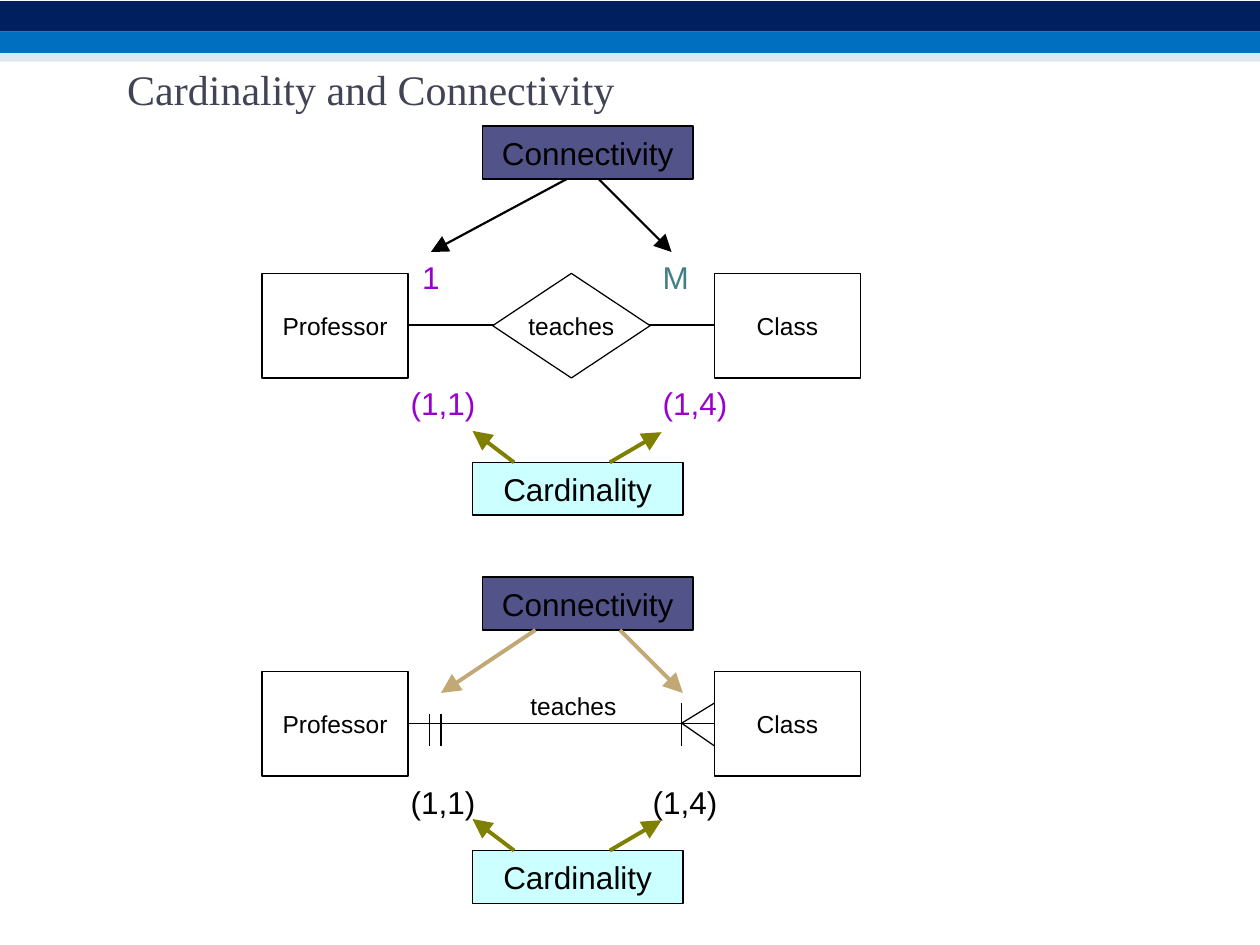
from pptx import Presentation
from pptx.dml.color import RGBColor
from pptx.enum.shapes import MSO_CONNECTOR, MSO_SHAPE
from pptx.enum.text import MSO_ANCHOR, PP_ALIGN
from pptx.oxml.ns import qn
from pptx.util import Inches, Pt
from lxml.etree import SubElement

BLACK, PURPLE, TEAL = "000000", "9900CC", "438085"
INDIGO, AQUA, OLIVE, TAN = "525389", "CCFFFF", "808000", "C2A874"
FRAME = {"margin_left": 0, "margin_right": 0, "margin_top": 0, "margin_bottom": 0,
         "vertical_anchor": MSO_ANCHOR.MIDDLE, "word_wrap": False}


def color(hex_value):
    """Turn a hex string into a colour."""
    return RGBColor.from_string(hex_value)


def write(shape, text, size, ink=BLACK, font="Arial", align=PP_ALIGN.LEFT):
    """Set one line of text in a shape."""
    for name, value in FRAME.items():
        setattr(shape.text_frame, name, value)
    paragraph = shape.text_frame.paragraphs[0]
    paragraph.alignment = align
    run = paragraph.add_run()
    run.text = text
    for name, value in {"size": Pt(size), "name": font}.items():
        setattr(run.font, name, value)
    run.font.color.rgb = color(ink)


def label(slide, box, text, size=18, ink=BLACK, font="Arial"):
    """Place free-standing text in a box."""
    write(slide.shapes.add_textbox(*map(Inches, box)), text, size, ink, font)


def block(slide, box, fill=None, outline=0, text=None, size=18, preset=MSO_SHAPE.RECTANGLE):
    """Place a preset shape with an optional fill, outline and centred text."""
    shape = slide.shapes.add_shape(preset, *map(Inches, box))
    shape.shadow.inherit = False
    if fill:
        shape.fill.solid()
        shape.fill.fore_color.rgb = color(fill)
    else:
        shape.fill.background()
    if outline:
        shape.line.color.rgb = color(BLACK)
        shape.line.width = Pt(outline)
    else:
        shape.line.fill.background()
    if text:
        write(shape, text, size, align=PP_ALIGN.CENTER)
    return shape


def line(slide, start, end, ink=BLACK, width=0.72, arrow=False):
    """Draw a straight line, with an arrowhead at its end if asked."""
    stroke = slide.shapes.add_connector(MSO_CONNECTOR.STRAIGHT, *map(Inches, (*start, *end)))
    stroke.line.color.rgb = color(ink)
    stroke.line.width = Pt(width)
    if arrow:
        SubElement(stroke.line._get_or_add_ln(), qn("a:tailEnd"), type="triangle", w="lg", len="lg")
    SubElement(stroke._element.spPr, qn("a:effectLst"))


def header(slide, left, top, width):
    """Place the three colour bands and the title."""
    block(slide, (left, top + 0.25, width, 0.17), "006FC0")
    block(slide, (left, top + 0.01, width, 0.24), "001F5F")
    pale_band = block(slide, (left, top + 0.42, width, 0.07), "BDD2E0")
    SubElement(pale_band._element.spPr.find(".//" + qn("a:srgbClr")), qn("a:alpha"), val="50000")
    label(slide, (left + 1.01, top + 0.49, 3.89, 0.43), "Cardinality and Connectivity", 24,
          "424455", "Times New Roman")


def callout(slide, left, top, text, fill, arrows, ink, width):
    """Place a named box and the arrows that leave it."""
    block(slide, (left, top, 1.67, 0.42), fill, 0.96, text)
    for (start_x, start_y), (end_x, end_y) in arrows:
        line(slide, (left + start_x, top + start_y), (left + end_x, top + end_y), ink, width, True)


def cardinality(slide, left, top):
    """Place the Cardinality callout."""
    arrows = [((0.33, 0), (0, -0.25)), ((1.09, 0), (1.5, -0.24))]
    callout(slide, left, top, "Cardinality", AQUA, arrows, OLIVE, 2.25)


def entities(slide, left, top):
    """Place the two entities and the line that relates them."""
    for offset, entity in ((0, "Professor"), (3.59, "Class")):
        block(slide, (left + offset, top, 1.16, 0.83), None, 0.96, entity, 14)
    line(slide, (left + 1.16, top + 0.41), (left + 3.59, top + 0.41))


def chen_diagram(slide, left, top):
    """Place the diagram with a relationship diamond."""
    row = top + 1.17
    entities(slide, left, row)
    block(slide, (left + 1.83, row, 1.25, 0.83), "FFFFFF", 0.72, "teaches", 14, MSO_SHAPE.DIAMOND)
    for x, y, width, text, ink in ((1.27, -0.14, 0.17, "1", PURPLE), (3.18, -0.14, 0.24, "M", TEAL),
                                   (1.18, 0.86, 0.54, "(1,1)", PURPLE),
                                   (3.18, 0.86, 0.54, "(1,4)", PURPLE)):
        label(slide, (left + x, row + y, width, 0.33), text, ink=ink)
    arrows = [((0.53 + 0.14, 0.42), (-0.41, 1)), ((0.92, 0.42), (1.5, 1))]
    callout(slide, left + 1.75, top, "Connectivity", INDIGO, arrows, BLACK, 1.25)
    cardinality(slide, left + 1.67, top + 2.67)


def crows_foot_diagram(slide, left, top):
    """Place the diagram with crow's foot marks."""
    row = top + 0.75
    entities(slide, left, row)
    label(slide, (left + 2.13, row + 0.14, 0.71, 0.26), "teaches", 14)
    marks = [((1.33, 0.34), (1.33, 0.59)), ((1.42, 0.34), (1.42, 0.59)),
             ((3.33, 0.25), (3.33, 0.59)), ((3.33, 0.41), (3.59, 0.25)),
             ((3.33, 0.41), (3.59, 0.59))]
    for (start_x, start_y), (end_x, end_y) in marks:
        line(slide, (left + start_x, row + start_y), (left + end_x, row + end_y))
    for x, text in ((1.18, "(1,1)"), (3.1, "(1,4)")):
        label(slide, (left + x, row + 0.87, 0.54, 0.33), text)
    arrows = [((0.42, 0.42), (-0.33, 0.92)), ((1.09, 0.42), (1.59, 0.92))]
    callout(slide, left + 1.75, top, "Connectivity", INDIGO, arrows, TAN, 2.25)
    cardinality(slide, left + 1.67, top + 2.17)


def main():
    """Build the slide and save it."""
    deck = Presentation()
    deck.slide_width, deck.slide_height = Inches(10), Inches(7.5)
    slide = deck.slides.add_slide(deck.slide_layouts[6])
    header(slide, 0, 0, 10)
    chen_diagram(slide, 2.08, 1)
    crows_foot_diagram(slide, 2.08, 4.58)
    deck.save("out.pptx")


if __name__ == "__main__":
    main()
